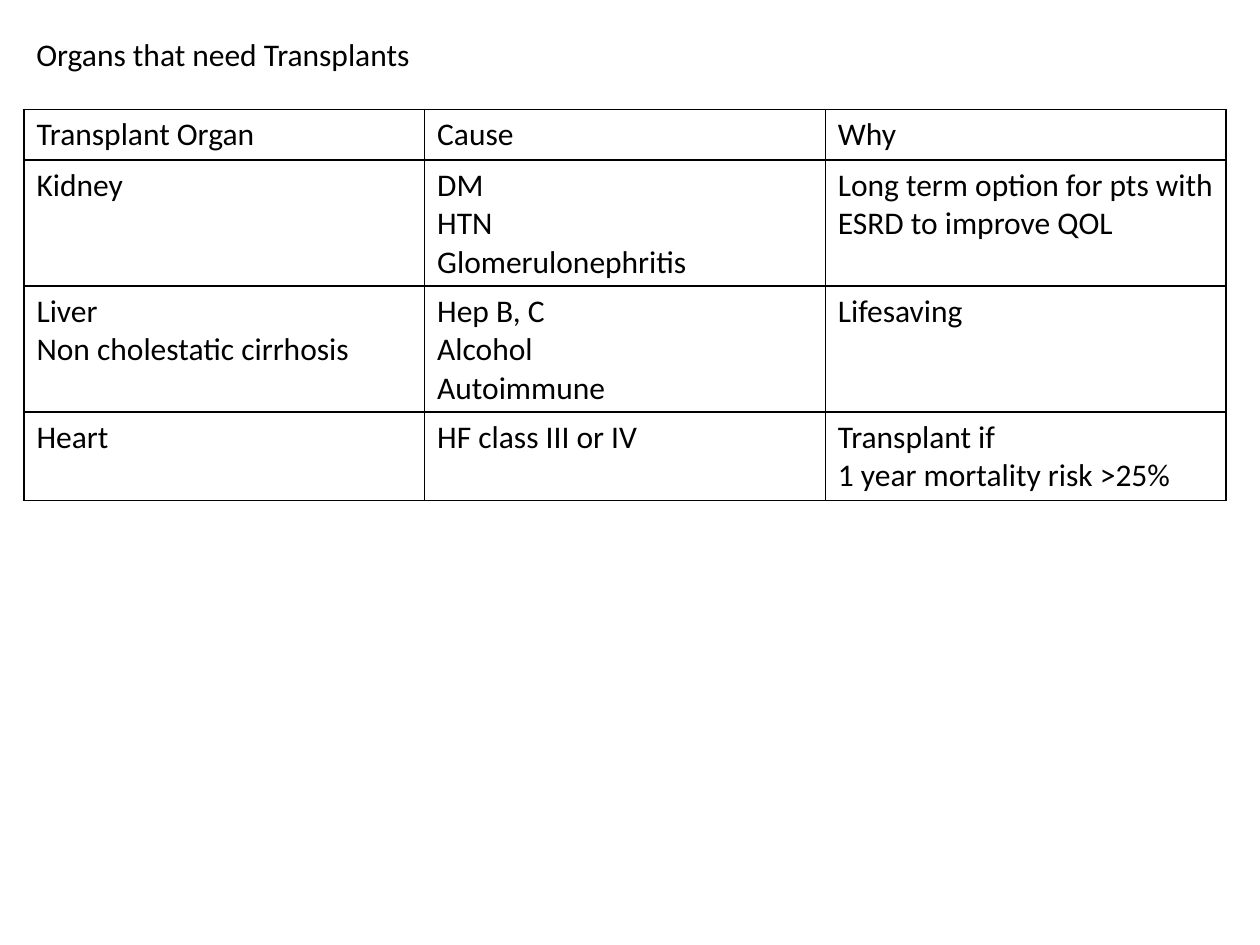
from pptx import Presentation
from pptx.dml.color import RGBColor as RGB
from pptx.enum.text import MSO_AUTO_SIZE as Fit
from pptx.oxml.ns import qn
from pptx.util import Inches, Pt
from lxml.etree import SubElement as Sub

BLACK = RGB(0, 0, 0)
WHITE = RGB(255, 255, 255)

ROWS = [
    ["Transplant Organ", "Cause", "Why"],
    ["Kidney", "DM\nHTN\nGlomerulonephritis",
     "Long term option for pts with ESRD to improve QOL"],
    ["Liver\nNon cholestatic cirrhosis", "Hep B, C\nAlcohol\nAutoimmune", "Lifesaving"],
    ["Heart", "HF class III or IV", "Transplant if\n1 year mortality risk >25%"],
]
HEIGHTS = [0.4, 1, 1, 0.7]
WIDTH = 3.18


class Page:
    font = "Calibri"
    size = Pt(18)
    line = Pt(1)

    def __init__(self, slide):
        self.slide = slide

    def text(self, frame, text):
        for i, words in enumerate(text.split("\n")):
            para = frame.add_paragraph() if i else frame.paragraphs[0]
            run = para.add_run()
            run.text = words
            run.font.name = self.font
            run.font.size = self.size
            run.font.color.rgb = BLACK

    def label(self, text, left, top, width, height):
        box = self.slide.shapes.add_textbox(
            Inches(left), Inches(top), Inches(width), Inches(height))
        frame = box.text_frame
        frame.word_wrap = False
        frame.auto_size = Fit.SHAPE_TO_FIT_TEXT
        self.text(frame, text)

    def border(self, cell):
        props = cell._tc.get_or_add_tcPr()
        for side in ("a:lnL", "a:lnR", "a:lnT", "a:lnB"):
            edge = Sub(props, qn(side), w=str(self.line))
            fill = Sub(edge, qn("a:solidFill"))
            Sub(fill, qn("a:srgbClr"), val=str(BLACK))

    def table(self, rows, left, top, width, heights):
        count = len(rows[0])
        grid = self.slide.shapes.add_table(
            len(rows), count, Inches(left), Inches(top),
            Inches(width * count), Inches(sum(heights))).table
        grid.first_row = False
        grid.horz_banding = False
        for col in grid.columns:
            col.width = Inches(width)
        for r, (texts, height) in enumerate(zip(rows, heights)):
            grid.rows[r].height = Inches(height)
            for c, text in enumerate(texts):
                cell = grid.cell(r, c)
                self.border(cell)
                cell.fill.solid()
                cell.fill.fore_color.rgb = WHITE
                self.text(cell.text_frame, text)


def main():
    deck = Presentation()
    deck.slide_width = Inches(10)
    deck.slide_height = Inches(7.5)
    page = Page(deck.slides.add_slide(deck.slide_layouts[6]))
    page.label("Organs that need Transplants", 0.19, 0.23, 3.23, 0.4)
    page.table(ROWS, 0.19, 0.87, WIDTH, HEIGHTS)
    deck.save("out.pptx")


if __name__ == "__main__":
    main()
